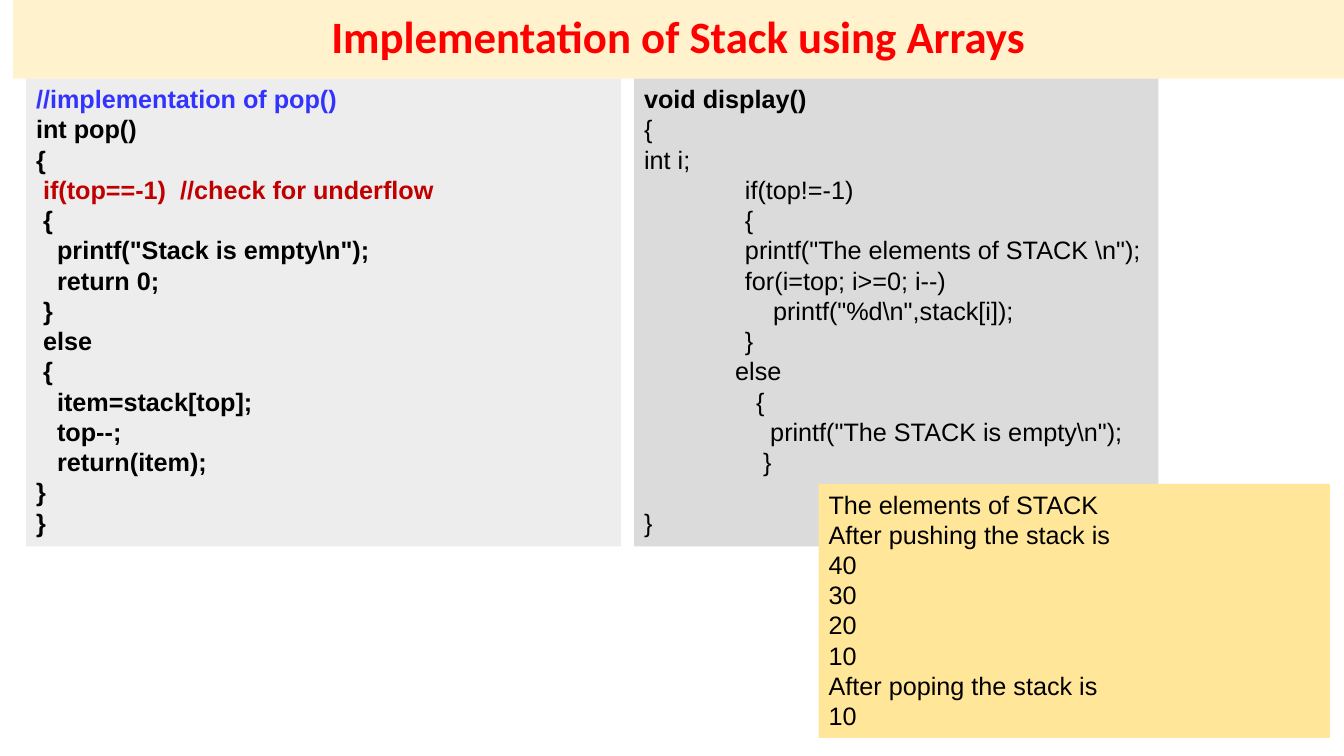
from pptx import Presentation
from pptx.dml.color import RGBColor
from pptx.enum.shapes import MSO_SHAPE as Shape
from pptx.enum.text import MSO_ANCHOR as Anchor, PP_ALIGN as Align
from pptx.util import Inches, Pt

BLACK = RGBColor(0x00, 0x00, 0x00)
RED = RGBColor(0xFF, 0x00, 0x00)
DARK_RED = RGBColor(0xC0, 0x00, 0x00)
BLUE = RGBColor(0x33, 0x33, 0xFF)
CREAM = RGBColor(0xFF, 0xF2, 0xCC)
PALE_GREY = RGBColor(0xED, 0xED, 0xED)
GREY = RGBColor(0xDB, 0xDB, 0xDB)
YELLOW = RGBColor(0xFF, 0xE6, 0x99)

# Content: code lines are (indent in spaces, text, bold, colour, blank lines before)
TITLE = "Implementation of Stack using Arrays"
POP_CODE = [
    (0, "//implementation of pop()", True, BLUE, 0),
    (0, "int pop()", True, BLACK, 0),
    (0, "{", True, BLACK, 0),
    (1, "if(top==-1)  //check for underflow", True, DARK_RED, 0),
    (1, "{", True, BLACK, 0),
    (3, 'printf("Stack is empty\\n");', True, BLACK, 0),
    (3, "return 0;", True, BLACK, 0),
    (1, "}", True, BLACK, 0),
    (1, "else", True, BLACK, 0),
    (1, "{", True, BLACK, 0),
    (3, "item=stack[top];", True, BLACK, 0),
    (3, "top--;", True, BLACK, 0),
    (3, "return(item);", True, BLACK, 0),
    (0, "}", True, BLACK, 0),
    (0, "}", True, BLACK, 0),
]
TAB = 14.4  # one inch, in spaces
DISPLAY_CODE = [
    (0, "void display()", True, BLACK, 0),
    (0, "{", False, BLACK, 0),
    (0, "int i;", False, BLACK, 0),
    (TAB, "if(top!=-1)", False, BLACK, 0),
    (TAB, "{", False, BLACK, 0),
    (TAB, 'printf("The elements of STACK \\n");', False, BLACK, 0),
    (TAB, "for(i=top; i>=0; i--)", False, BLACK, 0),
    (TAB + 4, 'printf("%d\\n",stack[i]);', False, BLACK, 0),
    (TAB, "}", False, BLACK, 0),
    (13, "else", False, BLACK, 0),
    (16, "{", False, BLACK, 0),
    (18, 'printf("The STACK is empty\\n");', False, BLACK, 0),
    (17, "}", False, BLACK, 0),
    (0, "}", False, BLACK, 1),
]
OUTPUT = [
    (0, text, False, BLACK, 0)
    for text in ("The elements of STACK", "After pushing the stack is",
                 "40", "30", "20", "10", "After poping the stack is", "10")
]

# Layout in inches: left, top, width, height
WIDTH, HEIGHT = 13.33, 7.5
MARGIN = 0.13
TITLE_HEIGHT = 0.78
CODE_HEIGHT = 4.64
POP_LEFT, POP_WIDTH = 2 * MARGIN, 5.9
DISPLAY_LEFT = POP_LEFT + POP_WIDTH + MARGIN
PANELS = [
    ((POP_LEFT, TITLE_HEIGHT, POP_WIDTH, CODE_HEIGHT), PALE_GREY, POP_CODE),
    ((DISPLAY_LEFT, TITLE_HEIGHT, 5.2, CODE_HEIGHT), GREY, DISPLAY_CODE),
    ((8.12, 4.8, 5.07, 2.52), YELLOW, OUTPUT),
]
CODE_SIZE = 18
SPACE_WIDTH = CODE_SIZE * 0.278
LINE_HEIGHT = CODE_SIZE * 1.2

presentation = Presentation()
presentation.slide_width = Inches(WIDTH)
presentation.slide_height = Inches(HEIGHT)
slide = presentation.slides.add_slide(presentation.slide_layouts[6])


def add_panel(box, fill, anchor):
    shape = slide.shapes.add_shape(Shape.RECTANGLE, *map(Inches, box))
    shape.shadow.inherit = False
    shape.fill.solid()
    shape.fill.fore_color.rgb = fill
    shape.line.fill.background()
    shape.text_frame.word_wrap = True
    shape.text_frame.vertical_anchor = anchor
    return shape.text_frame


def add_text(paragraph, text, font_name, size, bold, colour):
    run = paragraph.add_run()
    run.text = text
    run.font.name = font_name
    run.font.size = Pt(size)
    run.font.bold = bold
    run.font.color.rgb = colour


# Title band
frame = add_panel((MARGIN, 0, WIDTH - MARGIN, TITLE_HEIGHT), CREAM, Anchor.MIDDLE)
heading = frame.paragraphs[0]
heading.alignment = Align.CENTER
heading.line_spacing = 0.9
add_text(heading, TITLE, "Calibri", 32, True, RED)

# Code and output panels
for box, fill, lines in PANELS:
    frame = add_panel(box, fill, Anchor.TOP)
    for number, (indent, text, bold, colour, gap) in enumerate(lines):
        paragraph = frame.add_paragraph() if number else frame.paragraphs[0]
        paragraph.alignment = Align.LEFT
        paragraph.space_before = Pt(gap * LINE_HEIGHT)
        properties = paragraph._p.get_or_add_pPr()
        properties.set("marL", str(Pt(indent * SPACE_WIDTH)))
        properties.set("indent", "0")
        add_text(paragraph, text, "Arial", CODE_SIZE, bold, colour)

presentation.save("out.pptx")
